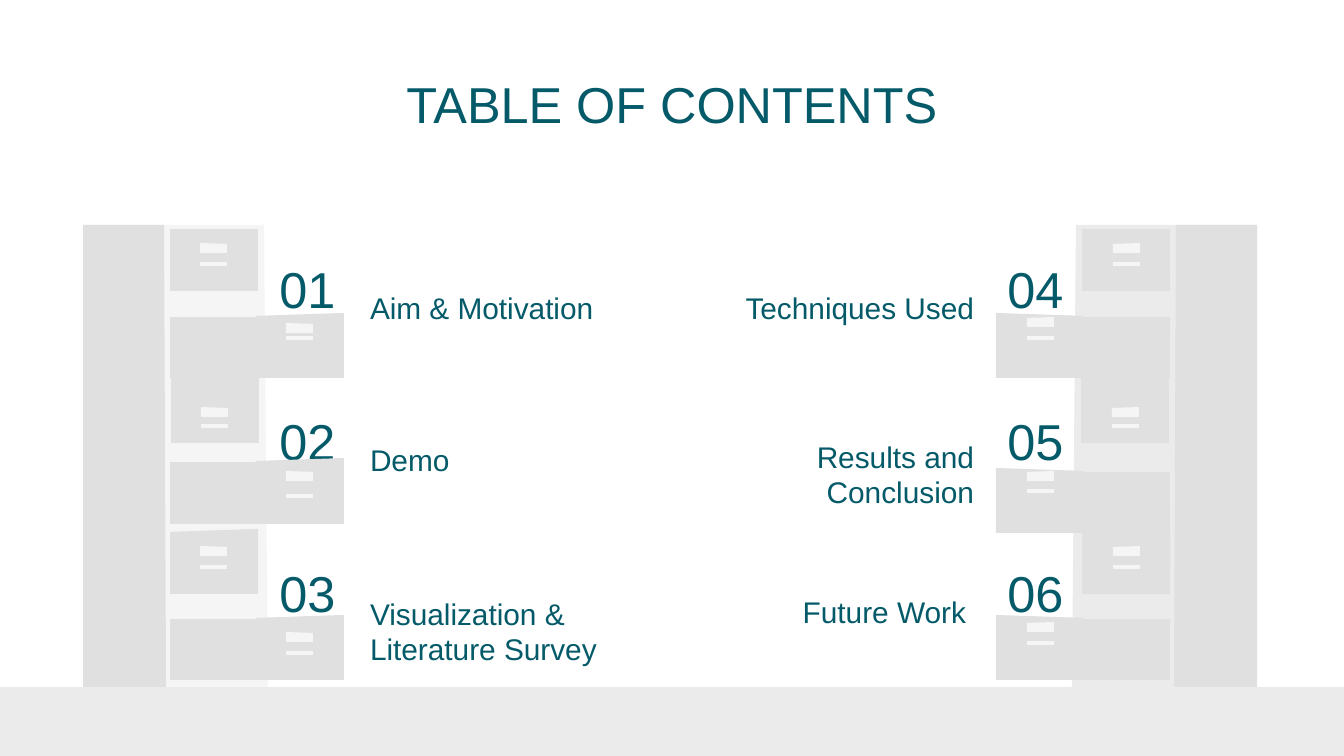
from dataclasses import dataclass

from pptx import Presentation
from pptx.dml.color import RGBColor
from pptx.enum.text import MSO_ANCHOR, PP_ALIGN
from pptx.util import Emu, Pt


@dataclass(frozen=True)
class Theme:
    font: str = "Arial"
    ink: str = "045A68"
    floor: str = "EBEBEB"
    drawer: str = "E0E0E0"
    handle: str = "F5F5F5"
    heading_size: int = 27
    entry_size: int = 16


THEME = Theme()
SCALE = 9144000 / 1344
WIDTH, HEIGHT = 1344, 756
FLOOR_TOP = 687
INSET = 13
MIRROR_SUM = 1340

TITLE = "TABLE OF CONTENTS"
LEFT_ENTRIES = [
    ("01", "Aim & Motivation", 339, 0),
    ("02", "Demo", 491, 0),
    ("03", "Visualization & Literature Survey", 680, 0),
]
RIGHT_ENTRIES = [
    ("04", "Techniques Used", 339, 0),
    ("05", "Results and Conclusion", 523, 0),
    ("06", "Future Work", 643, 8),
]
NUMBER_TOP, NUMBER_STEP = 245, 152

DRAWER_WIDTH = 88
OPEN_LEFT = 256
CLOSED_DRAWERS = [
    (170, 229, 291, 0, 243, 262),
    (171, 378, 443, 0, 407, 424),
    (170, 529, 594, 3, 546, 565),
]
LEFT_OPEN_DRAWERS = [
    (OPEN_LEFT, 313, 378, 3, 323, 336),
    (OPEN_LEFT, 458, 524, 3, 471, 494),
    (OPEN_LEFT, 615, 680, 3, 632, 651),
]
RIGHT_OPEN_DRAWERS = [
    (OPEN_LEFT, 313, 378, 3, 317, 336),
    (OPEN_LEFT, 468, 533, 3, 471, 489),
    (OPEN_LEFT, 615, 680, 3, 622, 641),
]


def px(length):
    return Emu(round(length * SCALE))


def add_text(page, text, bounds, size, align, anchor, nudge=0):
    box = page.shapes.add_textbox(*map(px, bounds))
    frame = box.text_frame
    frame.word_wrap = True
    frame.vertical_anchor = anchor
    frame.margin_left = frame.margin_top = frame.margin_bottom = px(INSET)
    frame.margin_right = px(INSET + nudge)
    para = frame.paragraphs[0]
    para.alignment = align
    span = para.add_run()
    span.text = text
    span.font.name = THEME.font
    span.font.size = Pt(size)
    span.font.color.rgb = RGBColor.from_string(THEME.ink)


def add_outline(shapes, points, color):
    builder = shapes.build_freeform(*points[0], scale=SCALE)
    builder.add_line_segments(points[1:], close=True)
    shape = builder.convert_to_shape()
    shape.shadow.inherit = False
    shape.fill.solid()
    shape.fill.fore_color.rgb = RGBColor.from_string(color)
    shape.line.fill.background()


def panel(left, top, right, bottom, left_drop=0, right_drop=0):
    return [
        (left, top + left_drop),
        (right, top + right_drop),
        (right, bottom),
        (left, bottom),
    ]


def add_entries(page, entries, number_left, entry_left, align):
    for index, (number, entry, bottom, nudge) in enumerate(entries):
        add_text(page, entry, (entry_left, bottom - 95, 301, 95),
                 THEME.entry_size, align, MSO_ANCHOR.BOTTOM, nudge)
        top = NUMBER_TOP + index * NUMBER_STEP
        add_text(page, number, (number_left, top, 97, 121),
                 THEME.heading_size, PP_ALIGN.CENTER, MSO_ANCHOR.TOP)


def add_cabinet(page, open_drawers, front_color, mirrored):
    shapes = page.shapes.add_group_shape().shapes

    def draw(points, color):
        if mirrored:
            points = [(MIRROR_SUM - x, y) for x, y in points]
        add_outline(shapes, points, color)

    draw([(83, 225), (264, 225), (268, FLOOR_TOP), (83, FLOOR_TOP)], front_color)
    draw([(83, 225), (164, 225), (166, FLOOR_TOP), (83, FLOOR_TOP)], THEME.drawer)
    for left, top, bottom, slope, label_top, bar_top in CLOSED_DRAWERS + open_drawers:
        if left == OPEN_LEFT:
            draw(panel(170, top + 4, OPEN_LEFT, bottom), THEME.drawer)
        draw(panel(left, top, left + DRAWER_WIDTH, bottom, left_drop=slope), THEME.drawer)
        handle_left, handle_right = left + 30, left + 57
        draw(panel(handle_left, label_top, handle_right, label_top + 10, right_drop=1),
             THEME.handle)
        draw(panel(handle_left, bar_top, handle_right, bar_top + 4), THEME.handle)


def main():
    deck = Presentation()
    deck.slide_width, deck.slide_height = px(WIDTH), px(HEIGHT)
    page = deck.slides.add_slide(deck.slide_layouts[6])

    add_outline(page.shapes, panel(0, FLOOR_TOP, WIDTH, HEIGHT), THEME.floor)
    add_text(page, TITLE, (106, 79, 1132, 48), THEME.heading_size,
             PP_ALIGN.CENTER, MSO_ANCHOR.MIDDLE)
    add_entries(page, LEFT_ENTRIES, 259, 357, PP_ALIGN.LEFT)
    add_entries(page, RIGHT_ENTRIES, 987, 686, PP_ALIGN.RIGHT)
    add_cabinet(page, RIGHT_OPEN_DRAWERS, THEME.floor, mirrored=True)
    add_cabinet(page, LEFT_OPEN_DRAWERS, THEME.handle, mirrored=False)

    deck.save("out.pptx")


if __name__ == "__main__":
    main()
